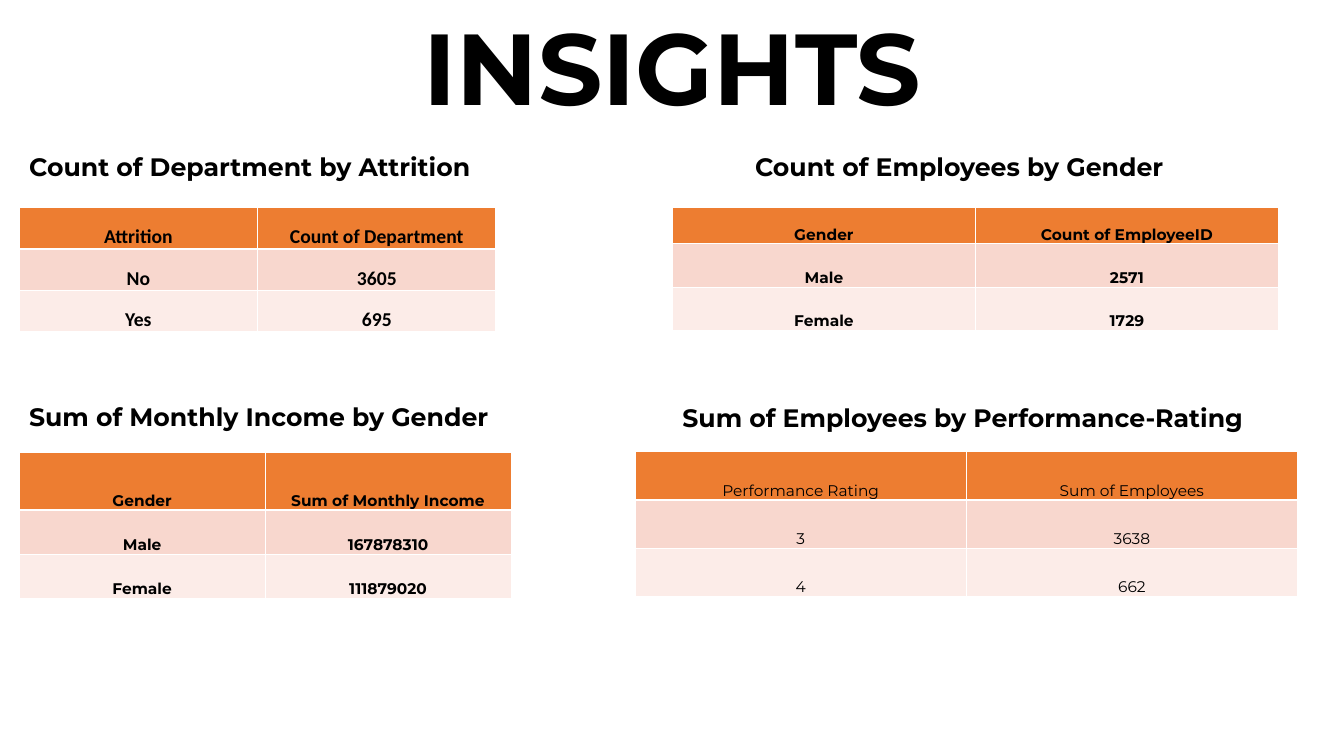
"""Build the INSIGHTS slide with four summary tables."""
from pptx import Presentation
from pptx.dml.color import RGBColor
from pptx.enum import text as t
from pptx.util import Inches, Pt

BLACK = RGBColor(0x00, 0x00, 0x00)
ORANGE = RGBColor(0xED, 0x7D, 0x31)
ROSE = RGBColor(0xF8, 0xD7, 0xCE)
PALE_ROSE = RGBColor(0xFC, 0xEC, 0xE8)


def write(frame, wording, size, font="Montserrat", bold=True, align=t.PP_ALIGN.LEFT):
    paragraph = frame.paragraphs[0]
    paragraph.alignment = align
    run = paragraph.add_run()
    run.text = wording
    run.font.name = font
    run.font.size = Pt(size)
    run.font.bold = bold
    run.font.color.rgb = BLACK


presentation = Presentation()
presentation.slide_width = Inches(13.33)
presentation.slide_height = Inches(7.5)
slide = presentation.slides.add_slide(presentation.slide_layouts[5])

insights = slide.shapes.title
insights.left, insights.top = Inches(0.92), Inches(0)
insights.width, insights.height = Inches(11.5), Inches(1.45)
insights.text_frame.auto_size = t.MSO_AUTO_SIZE.NONE
insights.text_frame.vertical_anchor = t.MSO_ANCHOR.MIDDLE
write(insights.text_frame, "INSIGHTS", 72, align=t.PP_ALIGN.CENTER)
insights.text_frame.paragraphs[0].line_spacing = 0.9

headings = [
    ("Count of Department by Attrition", 0.19, 1.45, 6.67),
    ("Count of Employees by Gender", 7.39, 1.45, 5.94),
    ("Sum of Monthly Income by Gender", 0.19, 3.93, 5.2),
    ("Sum of Employees by Performance-Rating", 6.67, 3.94, 6.47),
]
for wording, left, top, width in headings:
    heading = slide.shapes.add_textbox(Inches(left), Inches(top), Inches(width), Inches(0.4))
    heading.text_frame.word_wrap = True
    heading.text_frame.auto_size = t.MSO_AUTO_SIZE.SHAPE_TO_FIT_TEXT
    write(heading.text_frame, wording, 18)

montserrat_bold = dict(size=11)
summaries = [
    (0.19, 2.06, 4.73, (0.41, 0.41, 0.41), dict(size=14, font="Calibri"),
     [("Attrition", "Count of Department"), ("No", "3605"), ("Yes", "695")]),
    (6.67, 2.06, 6.01, (0.36, 0.43, 0.43), montserrat_bold,
     [("Gender", "Count of EmployeeID"), ("Male", "2571"), ("Female", "1729")]),
    (0.19, 4.49, 4.88, (0.57, 0.44, 0.44), montserrat_bold,
     [("Gender", "Sum of Monthly Income"), ("Male", "167878310"), ("Female", "111879020")]),
    (6.3, 4.48, 6.57, (0.48, 0.48, 0.48), dict(size=11, bold=False),
     [("Performance Rating", "Sum of Employees"), ("3", "3638"), ("4", "662")]),
]
for left, top, width, row_heights, lettering, records in summaries:
    summary = slide.shapes.add_table(
        len(records), 2, Inches(left), Inches(top), Inches(width), Inches(sum(row_heights))
    ).table
    for row, height, record, fill in zip(
        summary.rows, row_heights, records, (ORANGE, ROSE, PALE_ROSE)
    ):
        row.height = Inches(height)
        for cell, wording in zip(row.cells, record):
            cell.fill.solid()
            cell.fill.fore_color.rgb = fill
            cell.vertical_anchor = t.MSO_ANCHOR.BOTTOM
            cell.margin_left = cell.margin_right = cell.margin_top = Inches(0.01)
            cell.margin_bottom = Inches(0)
            write(cell.text_frame, wording, align=t.PP_ALIGN.CENTER, **lettering)

presentation.save("out.pptx")
